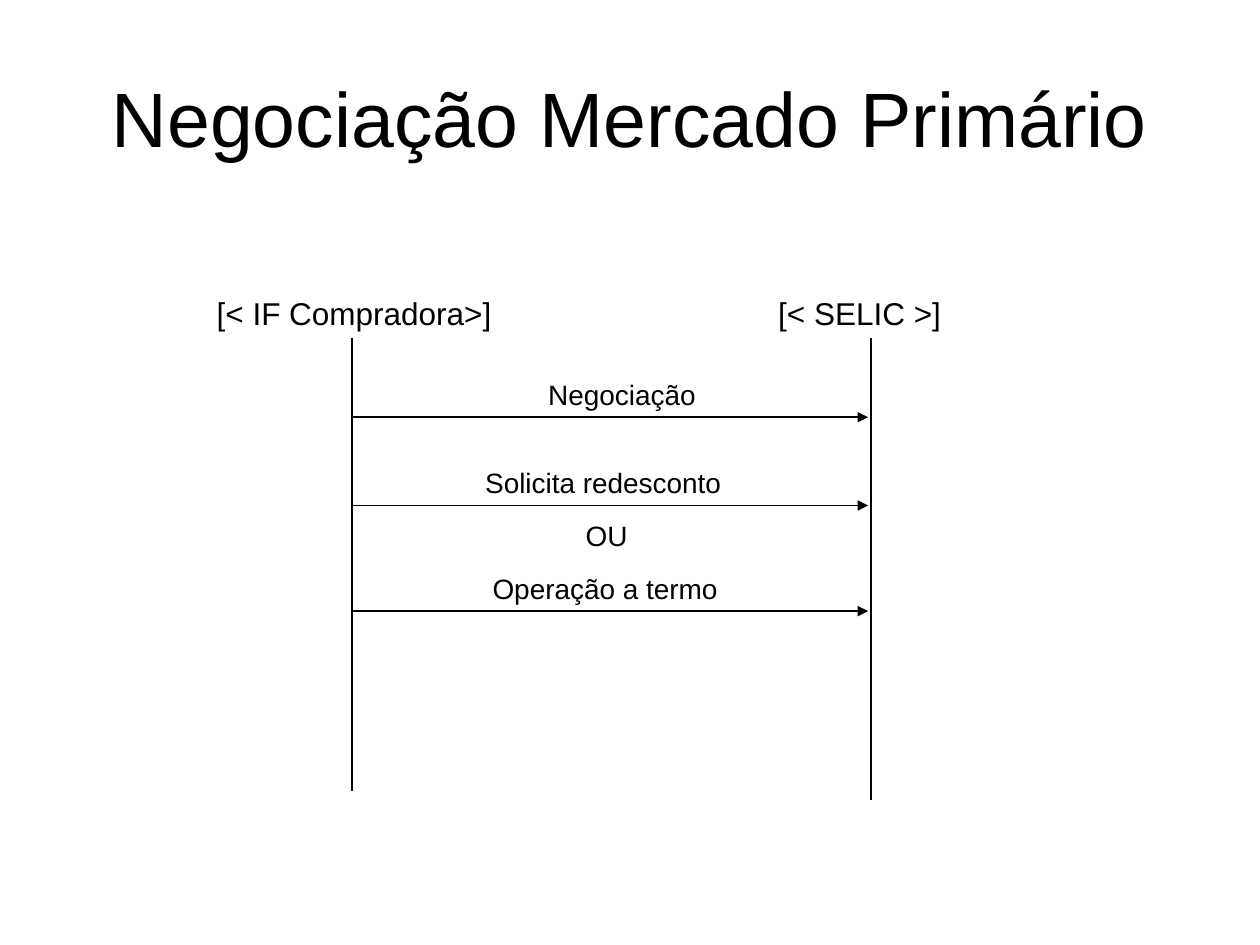
"""Sequence diagram of a primary market trade."""
from dataclasses import dataclass

from lxml.etree import SubElement as Sub
from pptx import Presentation
from pptx.dml.color import RGBColor as Rgb
from pptx.enum.shapes import MSO_CONNECTOR as Link
from pptx.enum.text import MSO_ANCHOR as Anchor, MSO_AUTO_SIZE as Fit, PP_ALIGN as Align
from pptx.oxml.ns import qn
from pptx.util import Cm, Pt


@dataclass(frozen=True)
class Theme:
    """Colours, font and sizes of the slide."""
    ink: Rgb = Rgb(0, 0, 0)
    paper: Rgb = Rgb(255, 255, 255)
    font: str = "Arial"
    title: int = 44
    actor: int = 18
    label: int = 16
    line: int = 1


THEME = Theme()
LEFT, RIGHT, TIP = 7.09, 17.56, 17.5
TOP = 6.81
ACTORS = [("[< IF Compradora>]", 7.14, 6.2, LEFT, 15.95),
          ("[< SELIC >]", 17.33, 3.95, RIGHT, 16.13)]
CALLS = [("Negociação", 12.54, 3.65, 8.41),
         ("Solicita redesconto", 12.16, 5.45, 10.19),
         ("Operação a termo", 12.2, 5.2, 12.32)]


def add_text(slide, text, mid, y, w, h, size, wrap=False):
    """Add a text box of one run, centred on mid."""
    box = slide.shapes.add_textbox(Cm(mid - w / 2), Cm(y), Cm(w), Cm(h))
    frame = box.text_frame
    frame.word_wrap = wrap
    frame.auto_size = Fit.NONE if wrap else Fit.SHAPE_TO_FIT_TEXT
    frame.vertical_anchor = Anchor.MIDDLE if wrap else Anchor.TOP
    para = frame.paragraphs[0]
    para.alignment = Align.CENTER
    run = para.add_run()
    run.text = text
    run.font.name = THEME.font
    run.font.size = Pt(size)
    run.font.color.rgb = THEME.ink


def add_line(slide, x1, y1, x2, y2, arrow=False):
    """Add a straight line, with an arrowhead at its end if asked."""
    line = slide.shapes.add_connector(Link.STRAIGHT, Cm(x1), Cm(y1), Cm(x2), Cm(y2))
    line.line.color.rgb = THEME.ink
    line.line.width = Pt(THEME.line)
    if arrow:
        Sub(line.line._get_or_add_ln(), qn("a:tailEnd"), type="triangle")
    Sub(line._element.spPr, qn("a:effectLst"))


def add_actor(slide, name, mid, w, axis, end):
    """Add an actor's name and its lifeline."""
    add_text(slide, name, mid, TOP - 1, w, 1.02, THEME.actor)
    add_line(slide, axis, TOP, axis, end)


def add_call(slide, name, mid, w, y):
    """Add a message arrow with its label above."""
    add_text(slide, name, mid, y - 0.93, w, 0.94, THEME.label)
    add_line(slide, LEFT, y, TIP, y, arrow=True)


def main():
    """Build and save the slide."""
    deck = Presentation()
    deck.slide_width, deck.slide_height = Cm(25.4), Cm(19.05)
    slide = deck.slides.add_slide(deck.slide_layouts[6])
    fill = slide.background.fill
    fill.solid()
    fill.fore_color.rgb = THEME.paper
    add_text(slide, "Negociação Mercado Primário", 12.7, 0.76, 22.86, 3.18,
             THEME.title, wrap=True)
    for actor in ACTORS:
        add_actor(slide, *actor)
    for call in CALLS:
        add_call(slide, *call)
    add_text(slide, "OU", 12.23, 10.32, 1.5, 0.94, THEME.label)
    deck.save("out.pptx")


if __name__ == "__main__":
    main()
